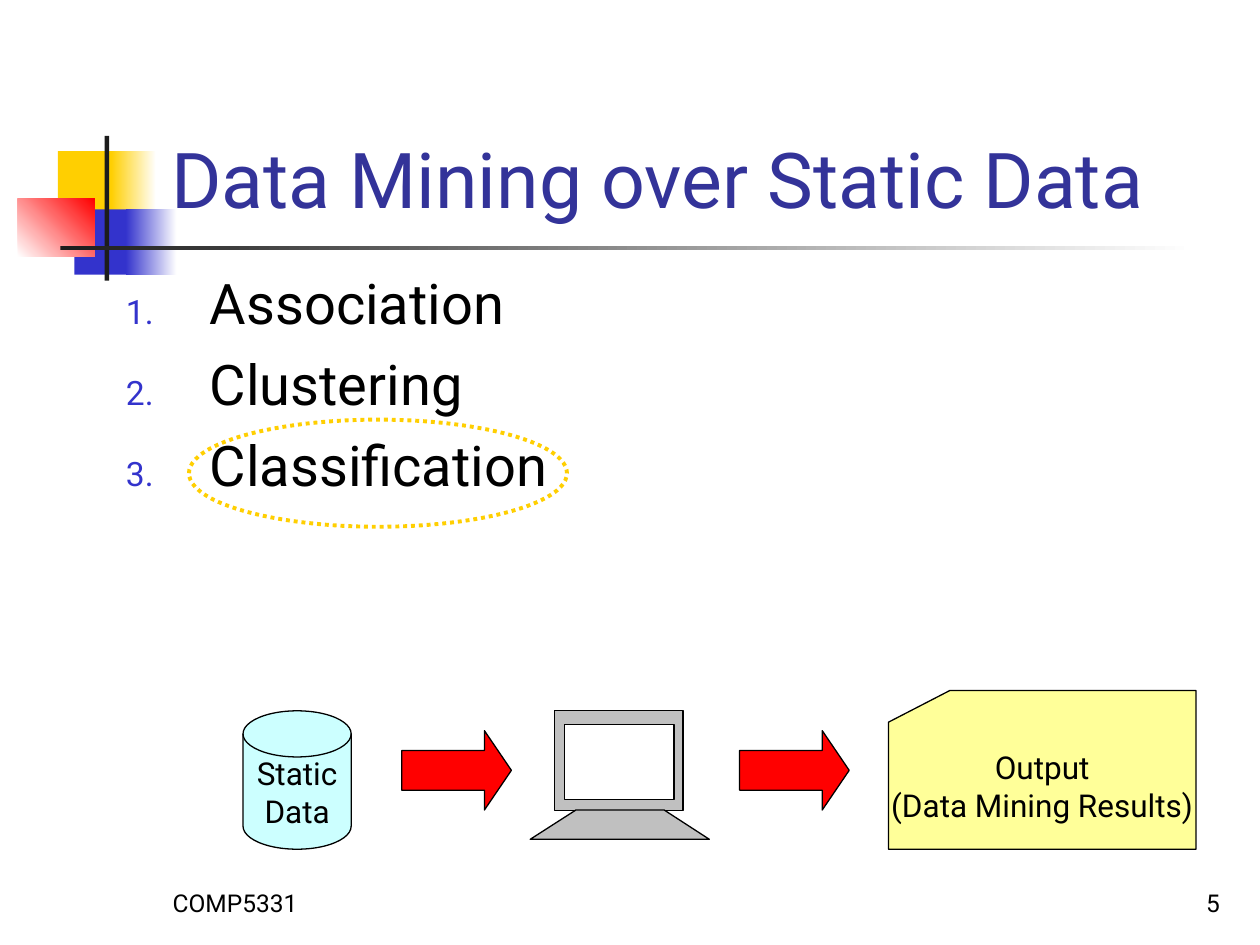
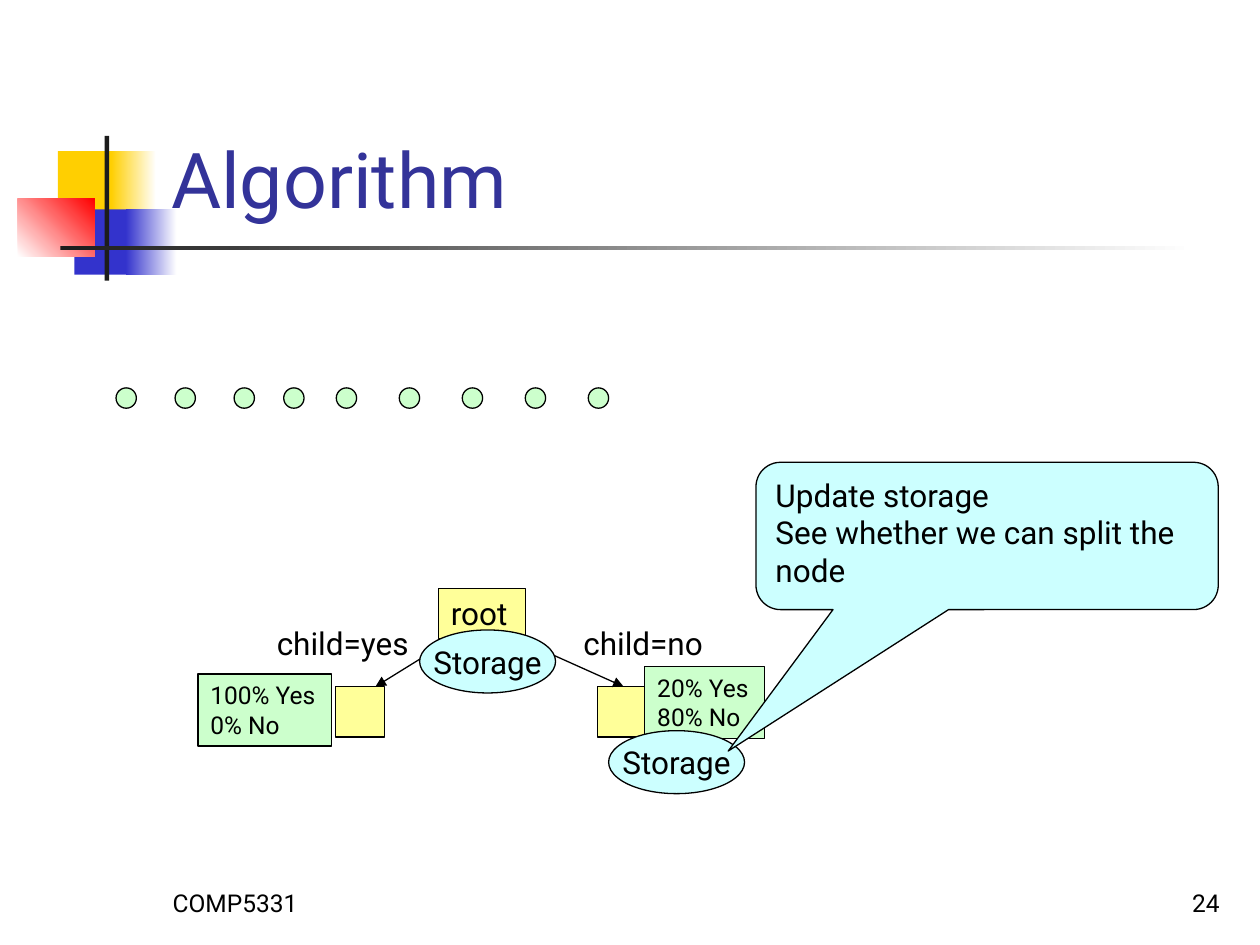
import lxml.etree
import pptx
import pptx.dml.color
import pptx.enum.shapes
import pptx.enum.text
import pptx.oxml.ns
import pptx.util

Cm = pptx.util.Cm
Pt = pptx.util.Pt
qn = pptx.oxml.ns.qn
SHAPE = pptx.enum.shapes.MSO_SHAPE
ALIGN = pptx.enum.text.PP_ALIGN
ANCHOR = pptx.enum.text.MSO_ANCHOR

FONT = "Roboto"
COLORS = {
    "black": "000000", "white": "FFFFFF", "title": "333399", "ink": "1C1C1C",
    "gold": "FFCF01", "blue": "3333CC", "red": "FF0000", "grey": "C0C0C0",
    "cyan": "CCFFFF", "yellow": "FFFF99", "green": "CCFFCC",
}
RGB = {name: pptx.dml.color.RGBColor.from_string(code) for name, code in COLORS.items()}


def paint(shape, fill=None, edge="black", width=0.75, angle=0):
    """Fill with one colour, a (from, to) gradient or nothing, and set the outline."""
    shape.shadow.inherit = False
    if fill is None:
        shape.fill.background()
    elif isinstance(fill, tuple):
        shape.fill.gradient()
        shape.fill.gradient_angle = angle
        for stop, color in zip(shape.fill.gradient_stops, fill):
            stop.color.rgb = RGB[color]
    else:
        shape.fill.solid()
        shape.fill.fore_color.rgb = RGB[fill]
    if edge:
        shape.line.color.rgb = RGB[edge]
        shape.line.width = Pt(width)
    else:
        shape.line.fill.background()
    return shape


def write(shape, text, size=18, color="black", align=ALIGN.LEFT, anchor=ANCHOR.TOP,
          wrap=False, gap=0, numbered=False):
    """Write one paragraph per line of text; gap is the space between them in points."""
    frame = shape.text_frame
    frame.word_wrap = wrap
    frame.vertical_anchor = anchor
    frame.text = text
    for index, paragraph in enumerate(frame.paragraphs):
        paragraph.alignment = align
        if index:
            paragraph.space_before = Pt(gap)
        if numbered:
            properties = paragraph._p.get_or_add_pPr()
            properties.set("marL", str(Cm(1.69)))
            properties.set("indent", str(-Cm(1.69)))
            number_color = lxml.etree.SubElement(properties, qn("a:buClr"))
            lxml.etree.SubElement(number_color, qn("a:srgbClr"), val=COLORS["blue"])
            lxml.etree.SubElement(properties, qn("a:buSzPct"), val="60000")
            lxml.etree.SubElement(properties, qn("a:buFont"), typeface=FONT)
            lxml.etree.SubElement(properties, qn("a:buAutoNum"), type="arabicPeriod")
        for run in paragraph.runs:
            run.font.name = FONT
            run.font.size = Pt(size)
            run.font.color.rgb = RGB[color]


deck = pptx.Presentation()
deck.slide_width, deck.slide_height = Cm(25.4), Cm(19.05)

# Shared look: colour blocks, rules, footer and title
BANDS = [
    ((1.17, 3.05, 1.22, 1.32), "gold", 0),
    ((2.24, 3.05, 0.91, 1.32), ("gold", "white"), 0),
    ((1.5, 4.22, 1.17, 1.32), "blue", 0),
    ((2.54, 4.22, 1.02, 1.32), ("blue", "white"), 0),
    ((0.36, 4.01, 1.55, 1.17), ("white", "red"), 45),
    ((2.11, 2.74, 0.09, 2.92), "ink", 0),
    ((1.22, 4.95, 22.86, 0.09), ("ink", "white"), 0),
]
slides = []
for title, number in [("Data Mining over Static Data", "5"), ("Algorithm", "24")]:
    slide = deck.slides.add_slide(deck.slide_layouts[6])
    for box, fill, angle in BANDS:
        band = slide.shapes.add_shape(SHAPE.RECTANGLE, *map(Cm, box))
        paint(band, fill, edge=None, angle=angle)
    for left, text, align in [(3.23, "COMP5331", ALIGN.LEFT), (19.56, number, ALIGN.RIGHT)]:
        footer = slide.shapes.add_textbox(Cm(left), Cm(17.35), Cm(5.28), Cm(1.27))
        write(footer, text, size=14, align=align, anchor=ANCHOR.BOTTOM, wrap=True)
    heading = slide.shapes.add_textbox(Cm(3.2), Cm(0.58), Cm(21.64), Cm(4.06))
    write(heading, title, size=44, color="title", anchor=ANCHOR.BOTTOM, wrap=True)
    slides.append(slide.shapes)
static_data, algorithm = slides

# Static data: the three tasks, with the last one ringed
tasks = static_data.add_textbox(Cm(2.29), Cm(5.28), Cm(21.59), Cm(8.43))
write(tasks, "Association\nClustering\nClassification", size=32, wrap=True, gap=8, numbered=True)
ring = static_data.add_shape(SHAPE.OVAL, Cm(3.81), Cm(8.46), Cm(7.62), Cm(2.16))
paint(ring, edge="gold", width=2.25)
ring.line.dash_style = pptx.enum.dml.MSO_LINE.ROUND_DOT

# Static data: computer
for box, fill in [((11.18, 14.33, 2.59, 2.01), "grey"), ((11.38, 14.6, 2.21, 1.52), "white")]:
    paint(static_data.add_shape(SHAPE.RECTANGLE, *map(Cm, box)), fill)
stand = static_data.build_freeform(Cm(14.3), Cm(16.92))
stand.add_line_segments([(Cm(x), Cm(y)) for x, y in
                         [(13.39, 16.33), (11.61, 16.33), (10.69, 16.92)]])
paint(stand.convert_to_shape(), "grey")

# Static data: input, flow arrows and output
for kind, box, fill, text in [
    (SHAPE.FLOWCHART_MAGNETIC_DISK, (4.9, 14.33, 2.18, 2.79), "cyan", "Static\nData"),
    (SHAPE.FLOWCHART_CARD, (17.91, 13.92, 6.2, 3.2), "yellow", "Output\n(Data Mining Results)"),
]:
    store = paint(static_data.add_shape(kind, *map(Cm, box)), fill)
    write(store, text, align=ALIGN.CENTER, anchor=ANCHOR.MIDDLE)
for left in (8.1, 14.91):
    flow = static_data.add_shape(SHAPE.RIGHT_ARROW, Cm(left), Cm(14.73), Cm(2.21), Cm(1.6))
    flow.adjustments[1] = 0.34
    paint(flow, "red")

# Algorithm: stream of records
record_lefts = ([2.34 + 1.19 * i for i in range(3)] + [5.72]
                + [6.78 + 1.27 * i for i in range(5)])
for left in record_lefts:
    record = algorithm.add_shape(SHAPE.OVAL, Cm(left), Cm(7.82), Cm(0.41), Cm(0.41))
    paint(record, "green")

# Algorithm: leaves, branches and branch labels
for leaf_left, start, end, label_left, label_width, label in [
    (6.76, 9.17, 7.57, 5.33, 3.28, "child=yes"),
    (12.04, 10.36, 12.57, 11.51, 3.05, "child=no"),
]:
    leaf = algorithm.add_shape(SHAPE.RECTANGLE, Cm(leaf_left), Cm(13.84), Cm(0.99), Cm(1.02))
    paint(leaf, "yellow")
    branch = algorithm.add_connector(pptx.enum.shapes.MSO_CONNECTOR.STRAIGHT,
                                     Cm(start), Cm(12.85), Cm(end), Cm(13.84))
    branch.line.color.rgb = RGB["black"]
    branch.line.width = Pt(0.75)
    lxml.etree.SubElement(branch.line._get_or_add_ln(), qn("a:tailEnd"), type="triangle")
    lxml.etree.SubElement(branch._element.spPr, qn("a:effectLst"))
    condition = algorithm.add_textbox(Cm(label_left), Cm(12.45), Cm(label_width), Cm(1.02))
    write(condition, label)

# Algorithm: class shares and root
for box, fill, text, size in [
    ((3.99, 13.59, 2.69, 1.45), "green", "100% Yes\n0% No", 14),
    ((13, 13.44, 2.41, 1.45), "green", "20% Yes\n80% No", 14),
    ((8.84, 11.86, 1.75, 1.02), "yellow", "root", 18),
]:
    node = paint(algorithm.add_shape(SHAPE.RECTANGLE, *map(Cm, box)), fill)
    write(node, text, size=size)

# Algorithm: storage of each node
for left, top in [(12.27, 14.73), (8.46, 12.7)]:
    storage = algorithm.add_shape(SHAPE.OVAL, Cm(left), Cm(top), Cm(2.74), Cm(1.27))
    paint(storage, "cyan")
    write(storage, "Storage", align=ALIGN.CENTER, anchor=ANCHOR.MIDDLE)

# Algorithm: explanation
update = algorithm.add_shape(SHAPE.ROUNDED_RECTANGULAR_CALLOUT,
                             Cm(15.24), Cm(9.32), Cm(9.32), Cm(2.97))
update.adjustments[0], update.adjustments[1] = -0.56, 1.46
paint(update, "cyan")
write(update, "Update storage\nSee whether we can split the node", wrap=True)

deck.save("out.pptx")
